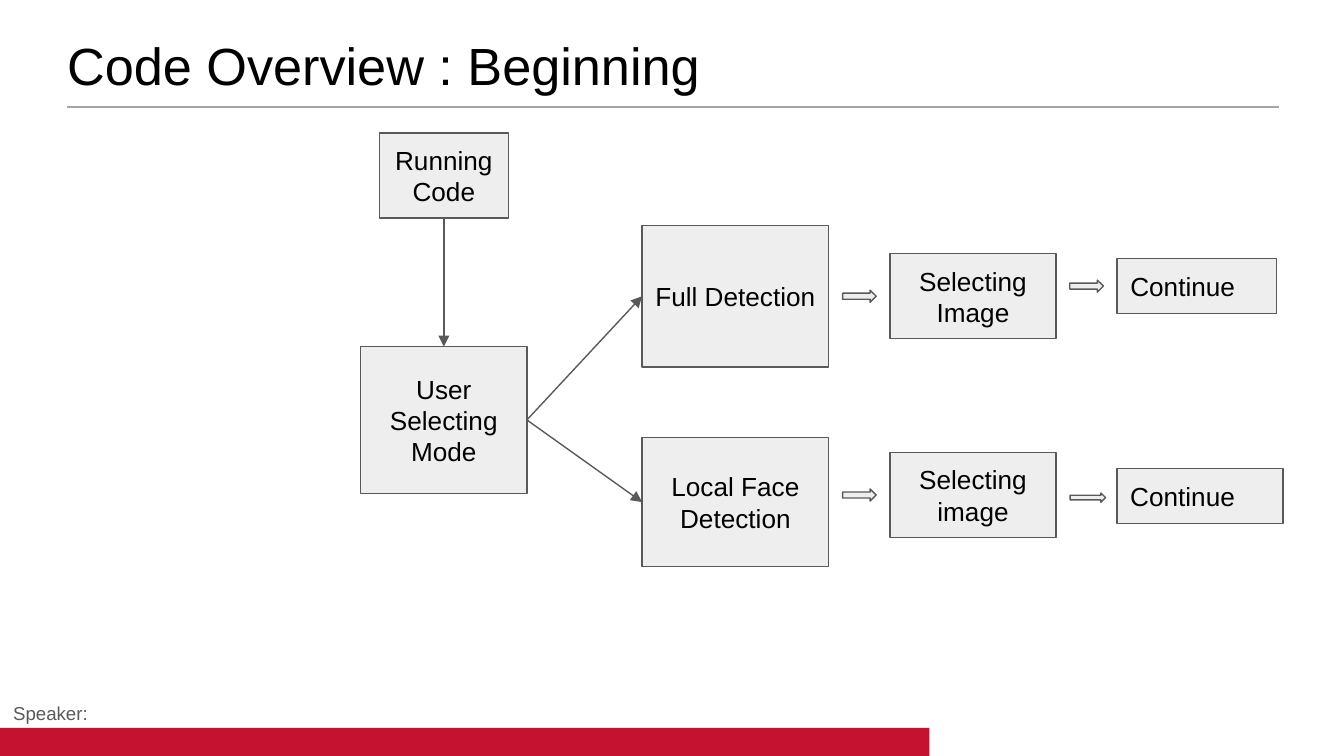
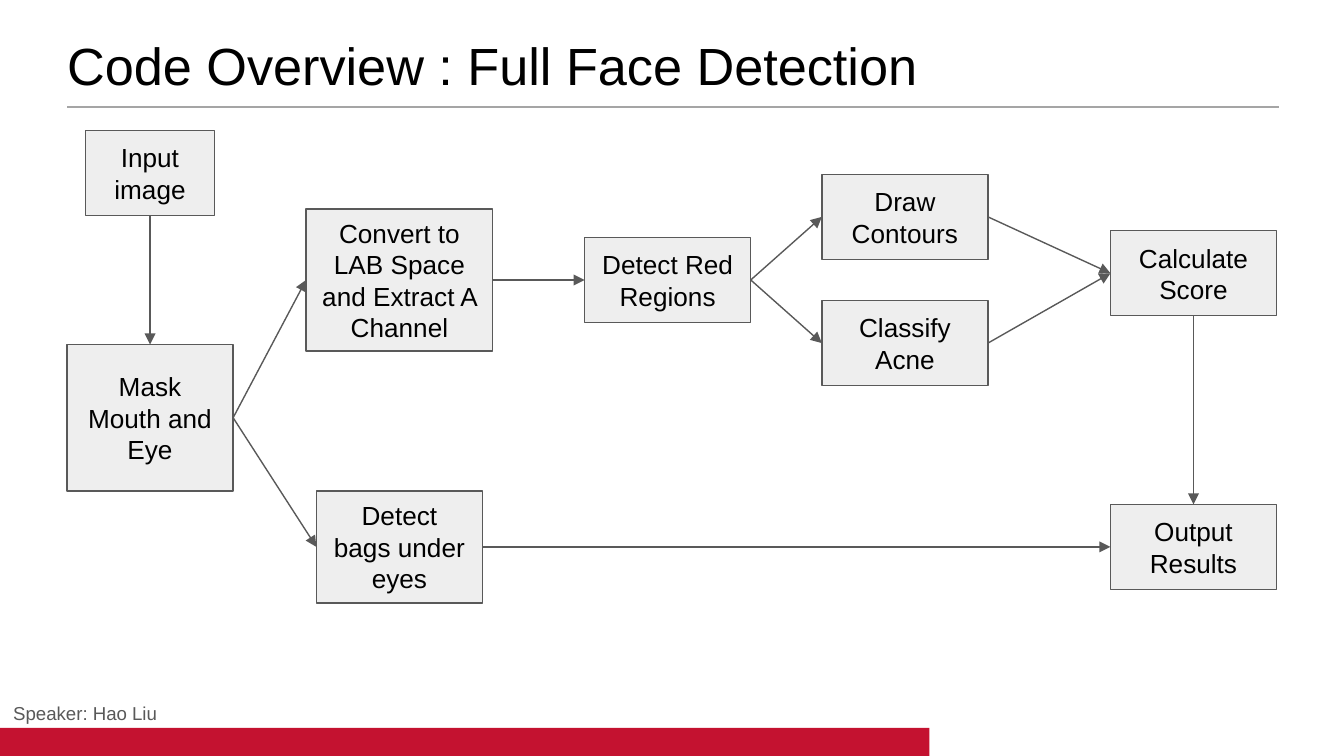
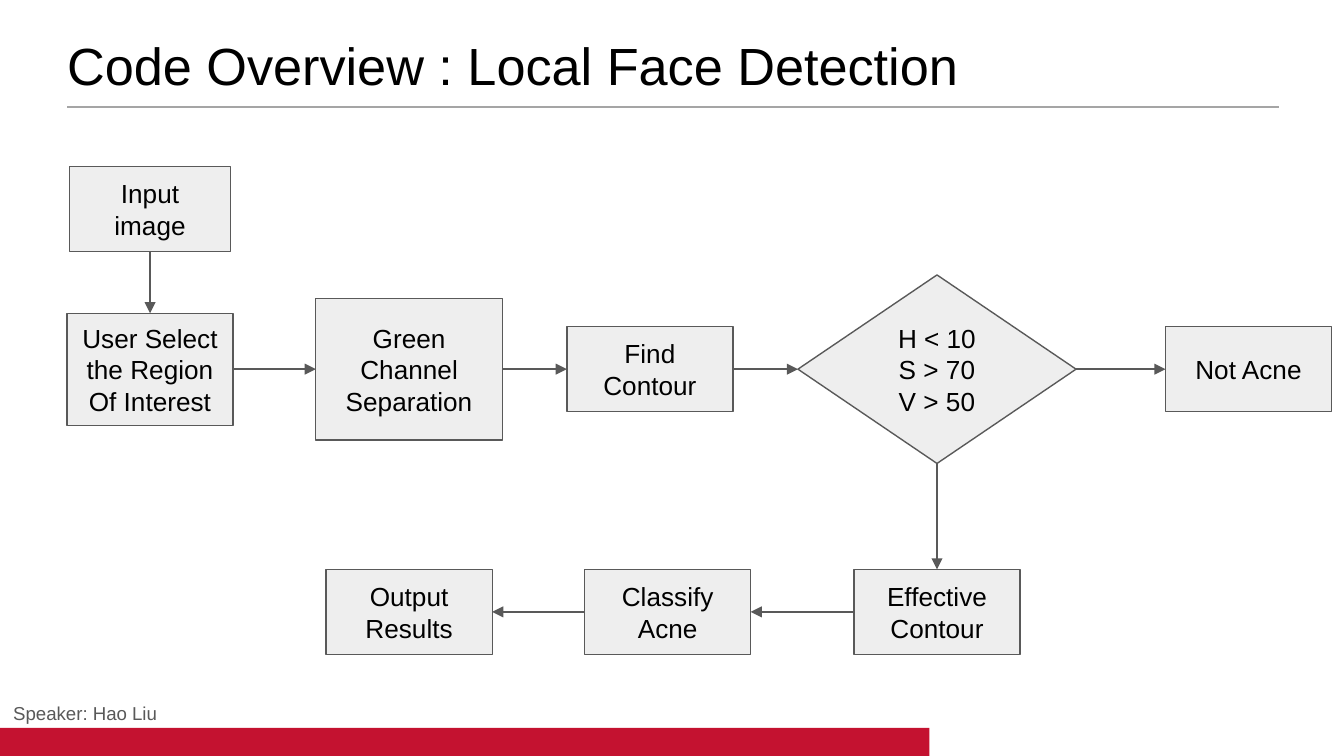
from lxml.etree import SubElement
from pptx import Presentation
from pptx.dml.color import RGBColor
from pptx.enum.shapes import MSO_CONNECTOR, MSO_SHAPE
from pptx.enum.text import MSO_ANCHOR, PP_ALIGN
from pptx.oxml.ns import qn
from pptx.util import Pt

COLORS = {"ink": "000000", "outline": "595959", "box": "EEEEEE",
          "rule": "A5A5A5", "band": "C41230"}
COLORS = {role: RGBColor.from_string(value) for role, value in COLORS.items()}
TOP, LEFT, BOTTOM, RIGHT = range(4)
PROCESS = MSO_SHAPE.FLOWCHART_PROCESS
DECISION = MSO_SHAPE.FLOWCHART_DECISION
ARROW = MSO_SHAPE.RIGHT_ARROW
STEP = (89, 45.5)
SMALL = (69, 45.5)
TALL = (89, 78.5)
MEDIUM = (89, 60)
LARGE = (100, 76)

SLIDES = [
    {
        "title": "Code Overview : Beginning",
        "speaker": "Speaker:",
        "boxes": [
            ("Running\u0020Code", 237.8, 94, SMALL, PROCESS),
            ("User Selecting Mode", 237.8, 225, TALL, PROCESS),
            ("Full Detection", 394, 158.7, LARGE, PROCESS),
            ("Local Face Detection", 394, 269, (100, 69), PROCESS),
            ("Selecting\nImage", 521.3, 158.7, STEP, PROCESS),
            ("Selecting image", 521.3, 265.2, STEP, PROCESS),
            ("Continue", 641.2, 153.3, (85.5, 29.5), PROCESS),
            ("Continue", 642.9, 265.7, (89, 29.5), PROCESS),
            ("", 460.4, 158.7, (18, 6.5), ARROW),
            ("", 460.4, 265.2, (18, 6.5), ARROW),
            ("", 582.1, 153.3, (18, 6.5), ARROW),
            ("", 582.8, 266.6, (19, 5), ARROW),
        ],
        "links": [
            ("Running Code", BOTTOM, "User Selecting Mode", TOP),
            ("User Selecting Mode", RIGHT, "Full Detection", LEFT),
            ("User Selecting Mode", RIGHT, "Local Face Detection", LEFT),
        ],
    },
    {
        "title": "Code Overview : Full Face Detection",
        "speaker": "Speaker: Hao Liu",
        "boxes": [
            ("Input\nimage", 80.4, 92.8, SMALL, PROCESS),
            ("Mask Mouth and Eye", 80.4, 223.8, TALL, PROCESS),
            ("Convert to LAB Space and Extract A Channel", 214, 150, LARGE, PROCESS),
            ("Detect bags under eyes", 214, 293, MEDIUM, PROCESS),
            ("Detect Red Regions", 357.7, 150, STEP, PROCESS),
            ("Draw Contours", 484.8, 116.2, STEP, PROCESS),
            ("Classify Acne", 484.8, 183.8, STEP, PROCESS),
            ("Calculate Score", 639.4, 146.4, STEP, PROCESS),
            ("Output Results", 639.4, 293, STEP, PROCESS),
        ],
        "links": [
            ("Input\nimage", BOTTOM, "Mask Mouth and Eye", TOP),
            ("Mask Mouth and Eye", RIGHT, "Convert to LAB Space and Extract A Channel", LEFT),
            ("Mask Mouth and Eye", RIGHT, "Detect bags under eyes", LEFT),
            ("Convert to LAB Space and Extract A Channel", RIGHT, "Detect Red Regions", LEFT),
            ("Detect Red Regions", RIGHT, "Draw Contours", LEFT),
            ("Detect Red Regions", RIGHT, "Classify Acne", LEFT),
            ("Draw Contours", RIGHT, "Calculate Score", LEFT),
            ("Classify Acne", RIGHT, "Calculate Score", LEFT),
            ("Calculate Score", BOTTOM, "Output Results", TOP),
            ("Detect bags under eyes", RIGHT, "Output Results", LEFT),
        ],
    },
    {
        "title": "Code Overview : Local Face Detection",
        "speaker": "Speaker: Hao Liu",
        "boxes": [
            ("Input\nimage", 80.4, 112, (86.5, 45.5), PROCESS),
            ("User Select the Region Of Interest", 80.4, 197.8, MEDIUM, PROCESS),
            ("Green Channel Separation", 219.2, 197.8, LARGE, PROCESS),
            ("Find Contour", 348.2, 197.8, STEP, PROCESS),
            ("H < 10\nS > 70\nV > 50", 502, 197.8, (149, 101), DECISION),
            ("Not Acne", 668.9, 197.8, STEP, PROCESS),
            ("Effective Contour", 502, 327.8, STEP, PROCESS),
            ("Classify Acne", 357.7, 327.8, STEP, PROCESS),
            ("Output Results", 219.2, 327.8, STEP, PROCESS),
        ],
        "links": [
            ("Input\nimage", BOTTOM, "User Select the Region Of Interest", TOP),
            ("User Select the Region Of Interest", RIGHT, "Green Channel Separation", LEFT),
            ("Green Channel Separation", RIGHT, "Find Contour", LEFT),
            ("Find Contour", RIGHT, "H < 10\nS > 70\nV > 50", LEFT),
            ("H < 10\nS > 70\nV > 50", RIGHT, "Not Acne", LEFT),
            ("H < 10\nS > 70\nV > 50", BOTTOM, "Effective Contour", TOP),
            ("Effective Contour", LEFT, "Classify Acne", RIGHT),
            ("Classify Acne", LEFT, "Output Results", RIGHT),
        ],
    },
]


def write(shape, text, size, color, inset=7.2, align=PP_ALIGN.LEFT, spacing=1.0):
    frame = shape.text_frame
    frame.word_wrap = True
    frame.margin_left = frame.margin_right = Pt(inset)
    frame.margin_top = frame.margin_bottom = Pt(inset)
    frame.text = text
    for paragraph in frame.paragraphs:
        paragraph.alignment = align
        paragraph.line_spacing = spacing
        for run in paragraph.runs:
            run.font.name = "Arial"
            run.font.size = Pt(size)
            run.font.color.rgb = COLORS[color]


def add_line(slide, color, width, ends=(0, 0, 0, 0)):
    line = slide.shapes.add_connector(MSO_CONNECTOR.STRAIGHT, *map(Pt, ends))
    line.line.color.rgb = COLORS[color]
    line.line.width = Pt(width)
    SubElement(line._element.spPr, qn("a:effectLst"))
    return line


prs = Presentation()
prs.slide_width, prs.slide_height = Pt(720), Pt(405)

for content in SLIDES:
    slide = prs.slides.add_slide(prs.slide_layouts[6])

    add_line(slide, "rule", 1, (36, 57.5, 685.4, 57.5))
    band = slide.shapes.add_shape(MSO_SHAPE.RECTANGLE, Pt(0), Pt(390), Pt(498), Pt(15))
    band.shadow.inherit = False
    band.fill.solid()
    band.fill.fore_color.rgb = COLORS["band"]
    band.line.fill.background()

    title = slide.shapes.add_textbox(Pt(36), Pt(21.6), Pt(648), Pt(34.6))
    write(title, content["title"], 28, "ink", inset=0, spacing=0.9)
    speaker = slide.shapes.add_textbox(Pt(0), Pt(370), Pt(176.4), Pt(19.5))
    write(speaker, content["speaker"], 10, "outline")

    steps = {}
    for text, center_x, center_y, (width, height), kind in content["boxes"]:
        step = slide.shapes.add_shape(kind, Pt(center_x - width / 2), Pt(center_y - height / 2),
                                      Pt(width), Pt(height))
        step.shadow.inherit = False
        step.fill.solid()
        step.fill.fore_color.rgb = COLORS["box"]
        step.line.color.rgb = COLORS["outline"]
        step.line.width = Pt(0.75)
        if text:
            step.text_frame.vertical_anchor = MSO_ANCHOR.MIDDLE
            align = PP_ALIGN.LEFT if text == "Continue" else PP_ALIGN.CENTER
            write(step, text, 14, "ink", align=align)
        steps[text] = step

    for source, source_side, target, target_side in content["links"]:
        link = add_line(slide, "outline", 0.75)
        link.begin_connect(steps[source], source_side)
        link.end_connect(steps[target], target_side)
        SubElement(link.line._get_or_add_ln(), qn("a:tailEnd"), type="triangle")

prs.save("out.pptx")
